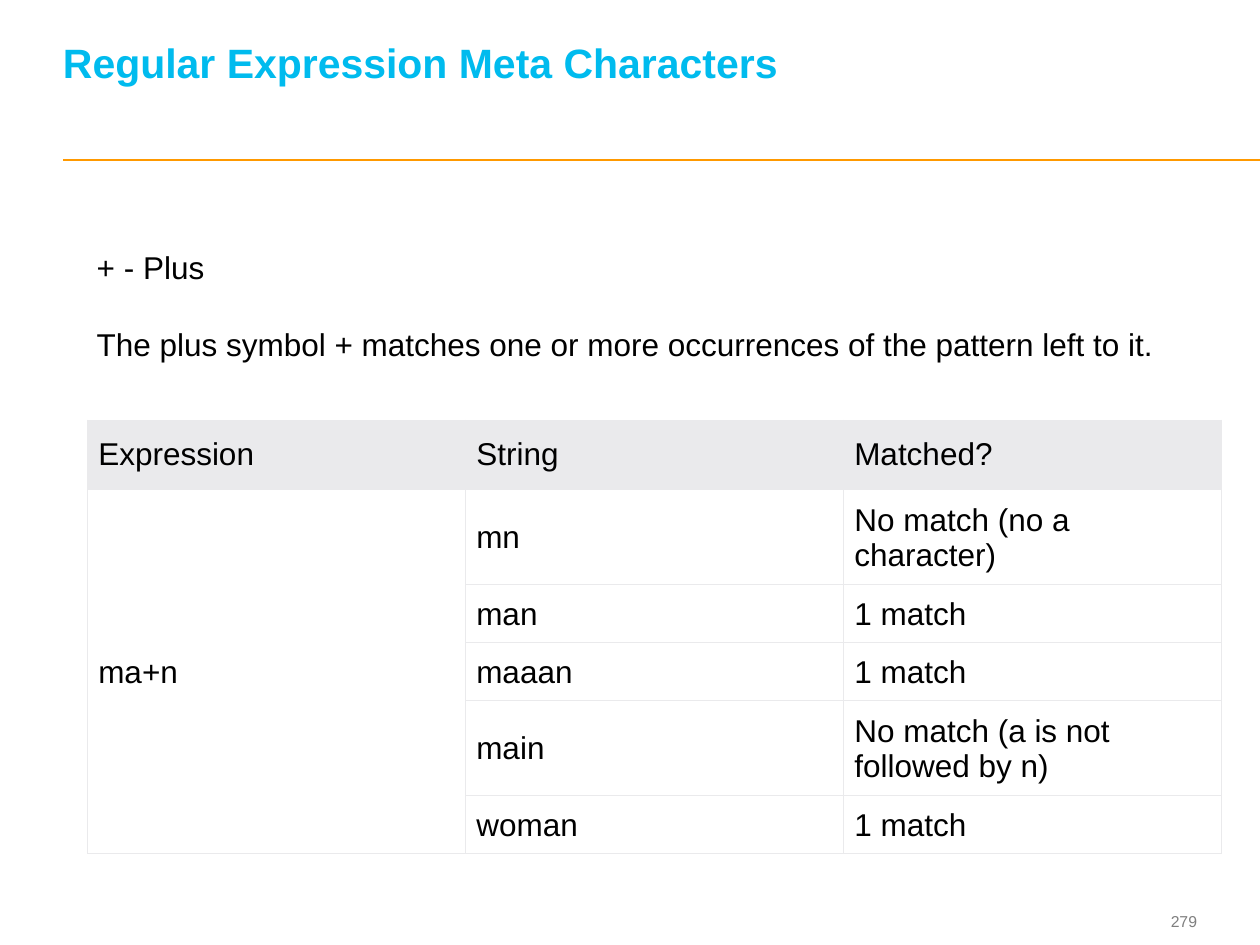
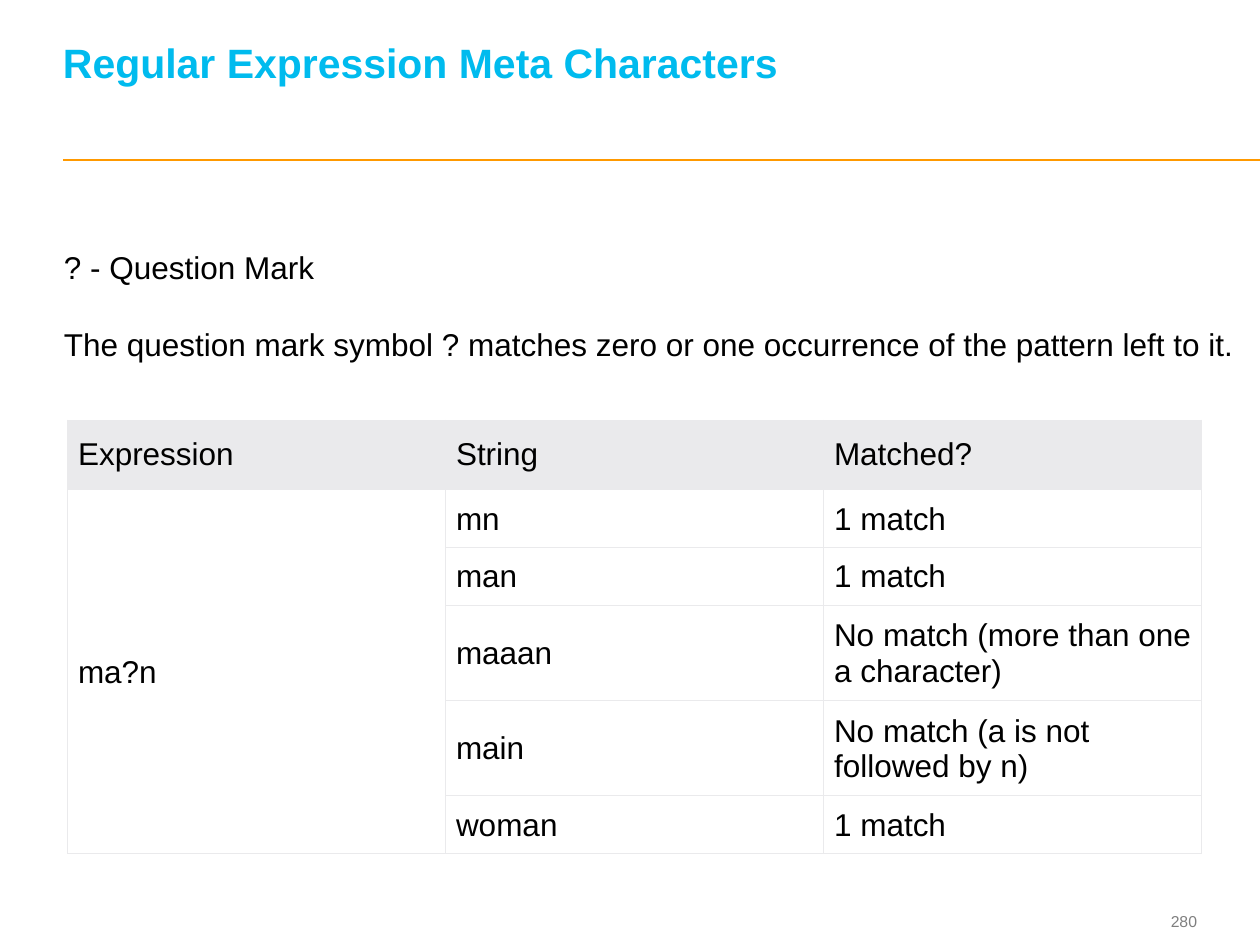
"""Build two slides on regular expression meta characters."""
from dataclasses import dataclass

import lxml.etree
import pptx
import pptx.dml.color
import pptx.enum.shapes
import pptx.enum.text
import pptx.oxml.ns
import pptx.util

Pt = pptx.util.Pt
ALIGN = pptx.enum.text.PP_ALIGN
ANCHOR = pptx.enum.text.MSO_ANCHOR
qn = pptx.oxml.ns.qn

COLORS = {"title": "00BBEE", "rule": "FF9900", "number": "7F7F7F",
          "text": "000000", "grid": "EAEAEC", "cell": "FFFFFF"}
FONT = "Arial"
TITLE = "Regular Expression Meta Characters"
HEADERS = ("Expression", "String", "Matched?")
BODY_SIZE = 18
COL_WIDTH = 216
HEADER_HEIGHT, ONE_LINE, TWO_LINES = 39.1, 33.1, 54.4
ONE_LINE_CHARS = 20


@dataclass(frozen=True)
class Box:
    left: float
    top: float
    width: float
    height: float


@dataclass(frozen=True)
class Style:
    size: float
    color: str
    bold: bool = False


@dataclass(frozen=True)
class MetaSlide:
    number: int
    heading: str
    rule: str
    text_box: Box
    table_left: float
    expression: str
    matches: tuple[tuple[str, str], ...]


TITLE_STYLE = Style(23.4, "title", True)
BODY_STYLE = Style(BODY_SIZE, "text")
NUMBER_STYLE = Style(9, "number")

SLIDES = (
    MetaSlide(
        279, "+ - Plus",
        "The plus symbol + matches one or more occurrences of the pattern left to it.",
        Box(48.2, 138.2, 624.4, 72.7), 50.2, "ma+n",
        (("mn", "No match (no a character)"), ("man", "1 match"),
         ("maaan", "1 match"), ("main", "No match (a is not followed by n)"),
         ("woman", "1 match"))),
    MetaSlide(
        280, "? - Question Mark",
        "The question mark symbol ? matches zero or one occurrence of the pattern left to it.",
        Box(29.5, 138.2, 689, 72.7), 38.6, "ma?n",
        (("mn", "1 match"), ("man", "1 match"),
         ("maaan", "No match (more than one a character)"),
         ("main", "No match (a is not followed by n)"), ("woman", "1 match"))),
)


def rgb(name: str) -> pptx.dml.color.RGBColor:
    return pptx.dml.color.RGBColor.from_string(COLORS[name])


def add_run(p, text: str, style: Style) -> None:
    r = p.add_run()
    r.text = text
    r.font.name = FONT
    r.font.size = Pt(style.size)
    r.font.bold = style.bold
    r.font.color.rgb = rgb(style.color)


def set_margins(frame, left: float, top: float, right: float, bottom: float) -> None:
    frame.margin_left, frame.margin_top = Pt(left), Pt(top)
    frame.margin_right, frame.margin_bottom = Pt(right), Pt(bottom)


def add_text(s, box: Box, lines: tuple[str, ...], style: Style,
             margins: tuple[float, float, float, float], anchor=ANCHOR.TOP,
             align=ALIGN.LEFT, gap: float = 0, spacing: float | None = None) -> None:
    sp = s.shapes.add_textbox(Pt(box.left), Pt(box.top), Pt(box.width), Pt(box.height))
    tf = sp.text_frame
    tf.word_wrap = True
    tf.vertical_anchor = anchor
    set_margins(tf, *margins)
    for i, line in enumerate(lines):
        p = tf.add_paragraph() if i else tf.paragraphs[0]
        p.alignment = align
        if i:
            p.space_before = Pt(gap)
        if spacing:
            p.line_spacing = Pt(spacing)
        add_run(p, line, style)


def add_rule(s) -> None:
    cx = s.shapes.add_connector(pptx.enum.shapes.MSO_CONNECTOR.STRAIGHT,
                                Pt(36), Pt(91.3), Pt(720), Pt(91.3))
    cx.line.color.rgb = rgb("rule")
    cx.line.width = Pt(1)
    lxml.etree.SubElement(cx._element.spPr, qn("a:effectLst"))


def set_borders(cell) -> None:
    tc_pr = cell._tc.get_or_add_tcPr()
    for i, side in enumerate(("lnL", "lnR", "lnT", "lnB")):
        ln = lxml.etree.Element(qn(f"a:{side}"), w=str(Pt(0.6)))
        fill = lxml.etree.SubElement(ln, qn("a:solidFill"))
        lxml.etree.SubElement(fill, qn("a:srgbClr"), val=COLORS["grid"])
        tc_pr.insert(i, ln)


def fill_cell(cell, text: str, header: bool) -> None:
    cell.fill.solid()
    cell.fill.fore_color.rgb = rgb("grid" if header else "cell")
    cell.vertical_anchor = ANCHOR.MIDDLE
    set_margins(cell, *((6, 9, 5, 9) if header else (6, 6, 5, 5)))
    set_borders(cell)
    p = cell.text_frame.paragraphs[0]
    if text:
        add_run(p, text, BODY_STYLE)
    else:
        p.font.size = Pt(BODY_SIZE)


def add_match_table(s, item: MetaSlide) -> None:
    rows = [HEADERS] + [("" if i else item.expression, *match)
                        for i, match in enumerate(item.matches)]
    heights = [HEADER_HEIGHT] + [TWO_LINES if len(result) > ONE_LINE_CHARS else ONE_LINE
                                 for _, result in item.matches]
    table = s.shapes.add_table(len(rows), len(HEADERS), Pt(item.table_left), Pt(240),
                               Pt(COL_WIDTH * len(HEADERS)), Pt(sum(heights))).table
    table.first_row = table.horz_banding = False
    for col in table.columns:
        col.width = Pt(COL_WIDTH)
    for i, (texts, height) in enumerate(zip(rows, heights)):
        table.rows[i].height = Pt(height)
        for j, text in enumerate(texts):
            fill_cell(table.cell(i, j), text, i == 0)
    table.cell(1, 0).merge(table.cell(len(rows) - 1, 0))


def add_frame(s, number: int) -> None:
    add_rule(s)
    add_text(s, Box(641.5, 517, 42.5, 19.4), (str(number),), NUMBER_STYLE,
             (0, 0, 0, 0), ANCHOR.MIDDLE, ALIGN.RIGHT)
    add_text(s, Box(36, 13.7, 645.8, 61.9), (TITLE,), TITLE_STYLE,
             (0, 0, 0, 26), ANCHOR.BOTTOM, spacing=26)


def main() -> None:
    prs = pptx.Presentation()
    prs.slide_width, prs.slide_height = Pt(720), Pt(540)
    for item in SLIDES:
        s = prs.slides.add_slide(prs.slide_layouts[6])
        add_frame(s, item.number)
        add_text(s, item.text_box, (item.heading, item.rule), BODY_STYLE,
                 (7.2, 3.6, 7.2, 3.6), gap=22.2)
        add_match_table(s, item)
    prs.save("out.pptx")


if __name__ == "__main__":
    main()
